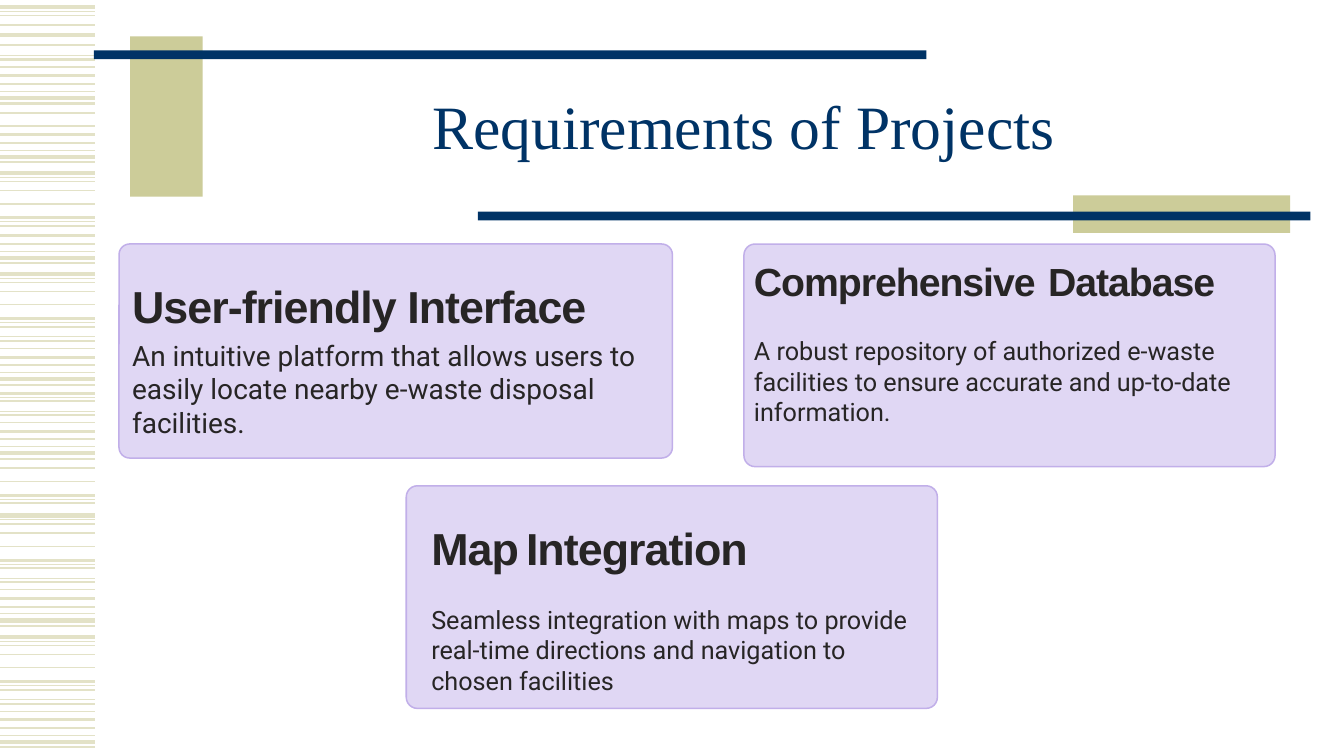
from dataclasses import dataclass
from typing import Any

from lxml.etree import SubElement
from pptx import Presentation
from pptx.dml.color import RGBColor
from pptx.enum.shapes import MSO_CONNECTOR, MSO_SHAPE
from pptx.enum.text import MSO_ANCHOR, PP_ALIGN
from pptx.oxml.ns import qn
from pptx.util import Pt

COLORS = {
    "stripe": "E3E2C7",
    "khaki": "CCCC99",
    "navy": "003366",
    "card": "E0D7F4",
    "card_line": "C1AFE9",
    "ink": "272525",
}
STRIPE_LENGTH = 67.7
BORDER_WIDTH = 1.09
HEADING_TRACKING = "-70"


@dataclass(frozen=True)
class Box:
    left: float
    top: float
    width: float
    height: float

    def lengths(self) -> tuple:
        return Pt(self.left), Pt(self.top), Pt(self.width), Pt(self.height)


@dataclass(frozen=True)
class Bar:
    box: Box
    color: str


@dataclass(frozen=True)
class Card:
    box: Box
    text_box: Box | None  # None puts the text in the card itself
    heading: list[tuple[str, float]]
    body: str
    body_size: float
    heading_format: dict[str, Any]
    body_format: dict[str, Any]


# Stripe groups: (offset, line width) around a thick line
SHORT_GROUP = [(-22, 1), (-15.8, 2.25), (-10, 1.5), (-4.8, 0.75), (0, 3), (3.9, 1.5)]
LONG_GROUP = [(0, 3), (3.2, 0.75), (6.1, 1), (12.6, 1), (22, 1),
              (32, 2.25), (34.9, 0.75), (37.7, 1.5), (45, 0.75), (47.8, 1.5)]

# Each entry: group, top of the thick line, first and last member shown
STRIPE_GROUPS = [
    (LONG_GROUP, -5.3, 7, 10), (LONG_GROUP, 5.2, 0, 4), (LONG_GROUP, 25.2, 0, 1),
    (SHORT_GROUP, 70, 0, 6), (LONG_GROUP, 58.6, 4, 5),
    (SHORT_GROUP, 112.1, 0, 6), (LONG_GROUP, 123.6, 0, 8),
    (SHORT_GROUP, 184.2, 1, 6), (LONG_GROUP, 195.7, 0, 10),
    (SHORT_GROUP, 270.9, 0, 6), (LONG_GROUP, 248.9, 5, 10),
    (SHORT_GROUP, 323.8, 0, 6), (LONG_GROUP, 321.8, 3, 8),
    (LONG_GROUP, 368.2, 0, 10), (SHORT_GROUP, 443.3, 0, 6),
    (LONG_GROUP, 454.9, 0, 10), (SHORT_GROUP, 530, 0, 6),
]

BARS = [
    Bar(Box(92.9, 25.9, 51.8, 114.5), "khaki"),
    Bar(Box(67, 36, 594.7, 6.3), "navy"),
    Bar(Box(766.6, 139.5, 155, 26.8), "khaki"),
    Bar(Box(341.3, 151.2, 594.7, 6.3), "navy"),
]

CARDS = [
    Card(Box(85, 174.3, 395.3, 152.9), None,
         [("User-friendly Interface", 32)],
         "An intuitive platform that allows users to easily locate nearby "
         "e-waste disposal facilities.", 20,
         {"line_spacing": 1.5, "space_before": Pt(6.4)}, {"space_before": Pt(4)}),
    Card(Box(531.4, 174.3, 379.4, 159), Box(531.4, 176.4, 399.6, 213.1),
         [("Comprehensive", 28), (" ", 32), ("Database", 28)],
         "A robust repository of authorized e-waste facilities to ensure "
         "accurate and up-to-date information.", 18,
         {}, {"space_before": Pt(21.5)}),
    Card(Box(290.2, 347, 379.4, 159), Box(301, 349.2, 357.8, 234.7),
         [("Map", 32), (" ", 18), ("Integration", 32)],
         "Seamless integration with maps to provide real-time directions "
         "and navigation to chosen facilities", 18,
         {"line_spacing": 1.5}, {"space_before": Pt(21.5)}),
]


def apply_format(target: Any, values: dict[str, Any]) -> None:
    for name, value in values.items():
        setattr(target, name, value)


def rgb(color: str) -> RGBColor:
    return RGBColor.from_string(COLORS[color])


def add_stripe(slide: Any, top: float, width: float) -> None:
    stripe = slide.shapes.add_connector(
        MSO_CONNECTOR.STRAIGHT, 0, Pt(top), Pt(STRIPE_LENGTH), Pt(top))
    stripe.line.color.rgb = rgb("stripe")
    stripe.line.width = Pt(width)
    SubElement(stripe._element.spPr, qn("a:effectLst"))


def add_filled_shape(slide: Any, kind: Any, box: Box, color: str) -> Any:
    shape = slide.shapes.add_shape(kind, *box.lengths())
    shape.shadow.inherit = False
    shape.fill.solid()
    shape.fill.fore_color.rgb = rgb(color)
    shape.line.fill.background()
    return shape


def add_run(paragraph: Any, text: str, font: dict[str, Any], color: str) -> Any:
    run = paragraph.add_run()
    run.text = text
    apply_format(run.font, font)
    run.font.color.rgb = rgb(color)
    return run


def add_card(slide: Any, card: Card) -> None:
    shape = add_filled_shape(slide, MSO_SHAPE.ROUNDED_RECTANGLE, card.box, "card")
    shape.adjustments[0] = 0.05
    shape.line.color.rgb = rgb("card_line")
    shape.line.width = Pt(BORDER_WIDTH)

    if card.text_box:
        shape = slide.shapes.add_textbox(*card.text_box.lengths())
    frame = shape.text_frame
    apply_format(frame, {"word_wrap": True, "vertical_anchor": MSO_ANCHOR.TOP})

    heading = frame.paragraphs[0]
    apply_format(heading, {"alignment": PP_ALIGN.LEFT, **card.heading_format})
    for text, size in card.heading:
        font = {"name": "Arial", "size": Pt(size), "bold": True}
        run = add_run(heading, text, font, "ink")
        run._r.get_or_add_rPr().set("spc", HEADING_TRACKING)

    body = frame.add_paragraph()
    apply_format(body, {"alignment": PP_ALIGN.LEFT, **card.body_format})
    font = {"name": "Roboto", "size": Pt(card.body_size), "bold": False}
    add_run(body, card.body, font, "ink")


def add_title(slide: Any, text: str, box: Box) -> None:
    frame = slide.shapes.add_textbox(*box.lengths()).text_frame
    apply_format(frame, {"word_wrap": True, "vertical_anchor": MSO_ANCHOR.MIDDLE})
    paragraph = frame.paragraphs[0]
    apply_format(paragraph, {"alignment": PP_ALIGN.CENTER, "line_spacing": 0.85})
    add_run(paragraph, text, {"name": "Times New Roman", "size": Pt(44)}, "navy")


def main() -> None:
    presentation = Presentation()
    apply_format(presentation, {"slide_width": Pt(960), "slide_height": Pt(540)})
    slide = presentation.slides.add_slide(presentation.slide_layouts[6])

    # Striped left edge
    for group, origin, first, last in STRIPE_GROUPS:
        for offset, width in group[first:last]:
            add_stripe(slide, origin + offset, width)

    # Title with its bars
    for bar in BARS:
        add_filled_shape(slide, MSO_SHAPE.RECTANGLE, bar.box, bar.color)
    add_title(slide, "Requirements of Projects", Box(144, 48.2, 774.7, 90))

    # Requirement cards
    for card in CARDS:
        add_card(slide, card)

    presentation.save("out.pptx")


if __name__ == "__main__":
    main()
